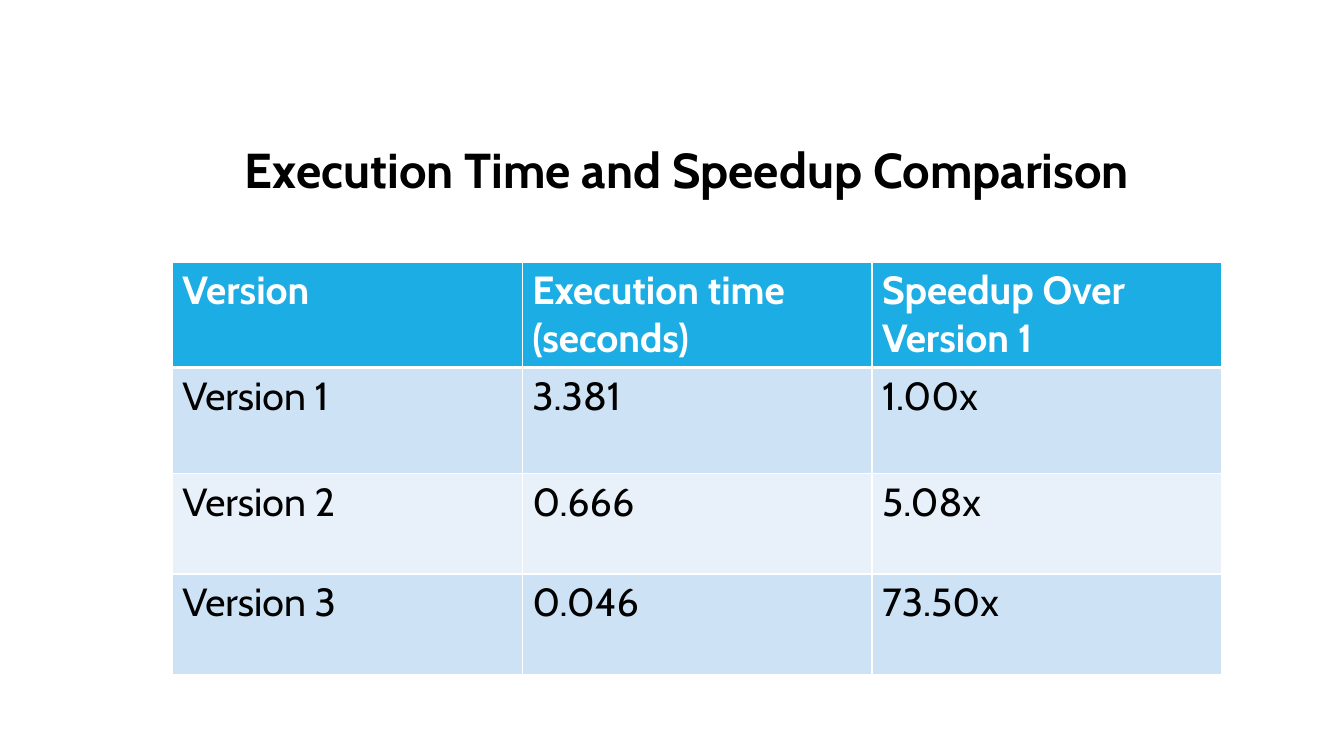
import pptx
import pptx.dml.color
import pptx.enum.text
import pptx.oxml
import pptx.oxml.ns
import pptx.util
from pptx.util import Inches

TITLE = "Execution Time and Speedup Comparison"
ROWS = [
    ("Version", "Execution time (seconds)", "Speedup Over Version 1"),
    ("Version 1", "3.381", "1.00x"),
    ("Version 2", "0.666", "5.08x"),
    ("Version 3", "0.046", "73.50x"),
]
HEIGHTS = [1.03, 1.05, 1, 1]
WIDTH = 3.47
HEAD, BANDS = "1CADE4", ("E8F1FA", "CDE3F5")
WHITE, BLACK = "FFFFFF", "000000"


def paint(fill, color):
    fill.solid()
    fill.fore_color.rgb = pptx.dml.color.RGBColor.from_string(color)


def write(frame, text, size=28, color=BLACK, bold=False):
    para = frame.paragraphs[0]
    para.alignment = pptx.enum.text.PP_ALIGN.LEFT
    run = para.add_run()
    run.text = text
    run.font.name = "Cabin"
    run.font.size = pptx.util.Pt(size)
    run.font.bold = bold
    paint(run.font.fill, color)


def edge(cell, side, width):
    """Add one white border; call before the cell is filled."""
    line = pptx.oxml.parse_xml(
        f'<a:ln{side} {pptx.oxml.ns.nsdecls("a")} w="{pptx.util.Pt(width)}">'
        f'<a:solidFill><a:srgbClr val="{WHITE}"/></a:solidFill></a:ln{side}>'
    )
    cell._tc.get_or_add_tcPr().append(line)


def main():
    deck = pptx.Presentation()
    deck.slide_width, deck.slide_height = Inches(13.33), Inches(7.5)
    slide = deck.slides.add_slide(deck.slide_layouts[5])

    title = slide.shapes.title
    title.left, title.top = Inches(2.33), Inches(1.33)
    title.width, title.height = Inches(9.44), Inches(0.69)
    frame = title.text_frame
    frame.word_wrap = True
    frame.auto_size = pptx.enum.text.MSO_AUTO_SIZE.NONE
    frame.vertical_anchor = pptx.enum.text.MSO_ANCHOR.TOP
    write(frame, TITLE, size=35, bold=True)

    count = len(ROWS[0])
    table = slide.shapes.add_table(
        len(ROWS), count, Inches(1.71), Inches(2.6),
        Inches(WIDTH * count), Inches(sum(HEIGHTS)),
    ).table
    for col in table.columns:
        col.width = Inches(WIDTH)
    for r, (texts, height) in enumerate(zip(ROWS, HEIGHTS)):
        table.rows[r].height = Inches(height)
        head = r == 0
        for c, text in enumerate(texts):
            cell = table.cell(r, c)
            edges = {"L": 1, "R": 1, "T": 3 if r == 1 else 1, "B": 3 if head else 1}
            for side, width in edges.items():
                edge(cell, side, width)
            paint(cell.fill, HEAD if head else BANDS[r % 2])
            write(cell.text_frame, text, color=WHITE if head else BLACK, bold=head)

    deck.save("out.pptx")


if __name__ == "__main__":
    main()
